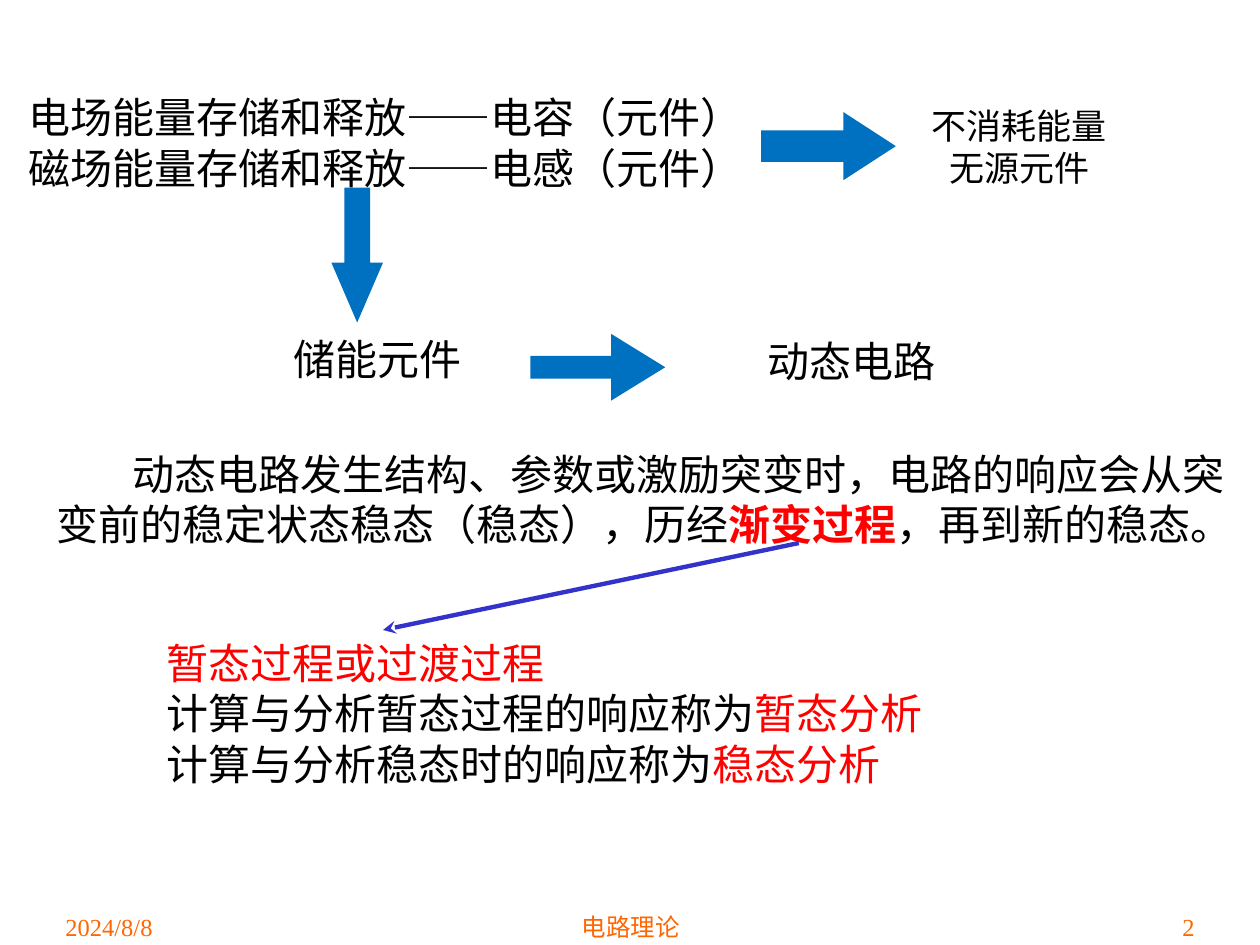
from dataclasses import dataclass

from lxml import etree
from pptx import Presentation
from pptx.dml.color import RGBColor
from pptx.enum import shapes, text
from pptx.oxml import ns
from pptx.util import Inches, Pt

ALIGN = text.PP_ALIGN
SHAPE = shapes.MSO_SHAPE


@dataclass(frozen=True)
class Theme:
    font: str = "Times New Roman"
    body: int = 24
    note: int = 20
    footer: int = 14
    ink: RGBColor = RGBColor(0x00, 0x00, 0x00)
    accent: RGBColor = RGBColor(0xFF, 0x00, 0x00)
    arrow: RGBColor = RGBColor(0x00, 0x70, 0xC0)
    pointer: RGBColor = RGBColor(0x33, 0x33, 0xCC)
    footer_ink: RGBColor = RGBColor(0xFF, 0x66, 0x00)


THEME = Theme()


def add_text(slide, box, lines, size=THEME.body, color=THEME.ink,
             align=ALIGN.LEFT, wrap=False):
    """Each line is a string or a list of (text, color, bold) runs."""
    shape = slide.shapes.add_textbox(*map(Inches, box))
    frame = shape.text_frame
    frame.word_wrap = wrap
    for index, line in enumerate(lines):
        paragraph = frame.add_paragraph() if index else frame.paragraphs[0]
        paragraph.alignment = align
        paragraph.font.name = THEME.font
        paragraph.font.size = Pt(size)
        if isinstance(line, str):
            paragraph.font.color.rgb = color
            paragraph.add_run().text = line
            continue
        for words, run_color, bold in line:
            run = paragraph.add_run()
            run.text = words
            run.font.color.rgb = run_color
            run.font.bold = bold
    return shape


def add_block_arrow(slide, kind, box, adjustments):
    arrow = slide.shapes.add_shape(kind, *map(Inches, box))
    arrow.shadow.inherit = False
    arrow.fill.solid()
    arrow.fill.fore_color.rgb = THEME.arrow
    arrow.line.fill.background()
    for index, value in enumerate(adjustments):
        arrow.adjustments[index] = value


def add_pointer(slide, tip, start):
    """Draw a line whose arrowhead sits at tip."""
    connector = slide.shapes.add_connector(
        shapes.MSO_CONNECTOR.STRAIGHT, *map(Inches, tip + start))
    connector.line.color.rgb = THEME.pointer
    connector.line.width = Pt(2.5)
    etree.SubElement(connector.line._get_or_add_ln(), ns.qn("a:headEnd"),
                     type="stealth")
    etree.SubElement(connector._element.spPr, ns.qn("a:effectLst"))


def add_footer(slide):
    for left, width, words, align in (
        (0.42, 2.08, "2024/8/8", ALIGN.LEFT),
        (3.42, 3.17, "电路理论", ALIGN.CENTER),
        (7.5, 2.08, "2", ALIGN.RIGHT),
    ):
        add_text(slide, (left, 7.19, width, 0.5), [words], THEME.footer,
                 THEME.footer_ink, align, wrap=True)


def add_concept_flow(slide):
    add_text(slide, (0.13, 0.68, 5.92, 0.91),
             ["电场能量存储和释放——电容（元件）", "磁场能量存储和释放——电感（元件）"])
    add_block_arrow(slide, SHAPE.RIGHT_ARROW, (6.04, 0.89, 1.07, 0.54), (0.46, 0.77))
    add_text(slide, (7.29, 0.78, 1.6, 0.77), ["不消耗能量", "无源元件"],
             THEME.note, align=ALIGN.CENTER)
    add_block_arrow(slide, SHAPE.DOWN_ARROW, (2.63, 1.49, 0.41, 1.07), (0.5, 1.16))
    add_text(slide, (2.23, 2.6, 1.55, 0.5), ["储能元件"])
    add_block_arrow(slide, SHAPE.RIGHT_ARROW, (4.21, 2.65, 1.07, 0.53), (0.34, 0.81))
    add_text(slide, (5.99, 2.61, 1.55, 0.5), ["动态电路"])


def add_explanation(slide):
    ink, accent = THEME.ink, THEME.accent
    definition = add_text(slide, (0.35, 3.51, 9.65, 0.91), [[
        ("动态电路发生结构、参数或激励突变时，电路的响应会从突变前的稳定状态稳态（稳态），历经",
         ink, False),
        ("渐变过程", accent, True),
        ("，再到新的稳态。", ink, False),
    ]], wrap=True)
    properties = definition.text_frame.paragraphs[0]._p.get_or_add_pPr()
    properties.set("indent", str(Inches(0.6)))

    analyses = [
        [(f"计算与分析{state}的响应称为", ink, False), (name, accent, False)]
        for state, name in (("暂态过程", "暂态分析"), ("稳态时", "稳态分析"))
    ]
    add_text(slide, (1.22, 5.01, 6.26, 1.31),
             [[("暂态过程或过渡过程", accent, False)], *analyses])
    add_pointer(slide, tip=(3.04, 5), start=(6.34, 4.31))


def main():
    presentation = Presentation()
    presentation.slide_width = Inches(10)
    presentation.slide_height = Inches(7.5)
    slide = presentation.slides.add_slide(presentation.slide_layouts[6])
    add_footer(slide)
    add_concept_flow(slide)
    add_explanation(slide)
    presentation.save("out.pptx")


if __name__ == "__main__":
    main()
